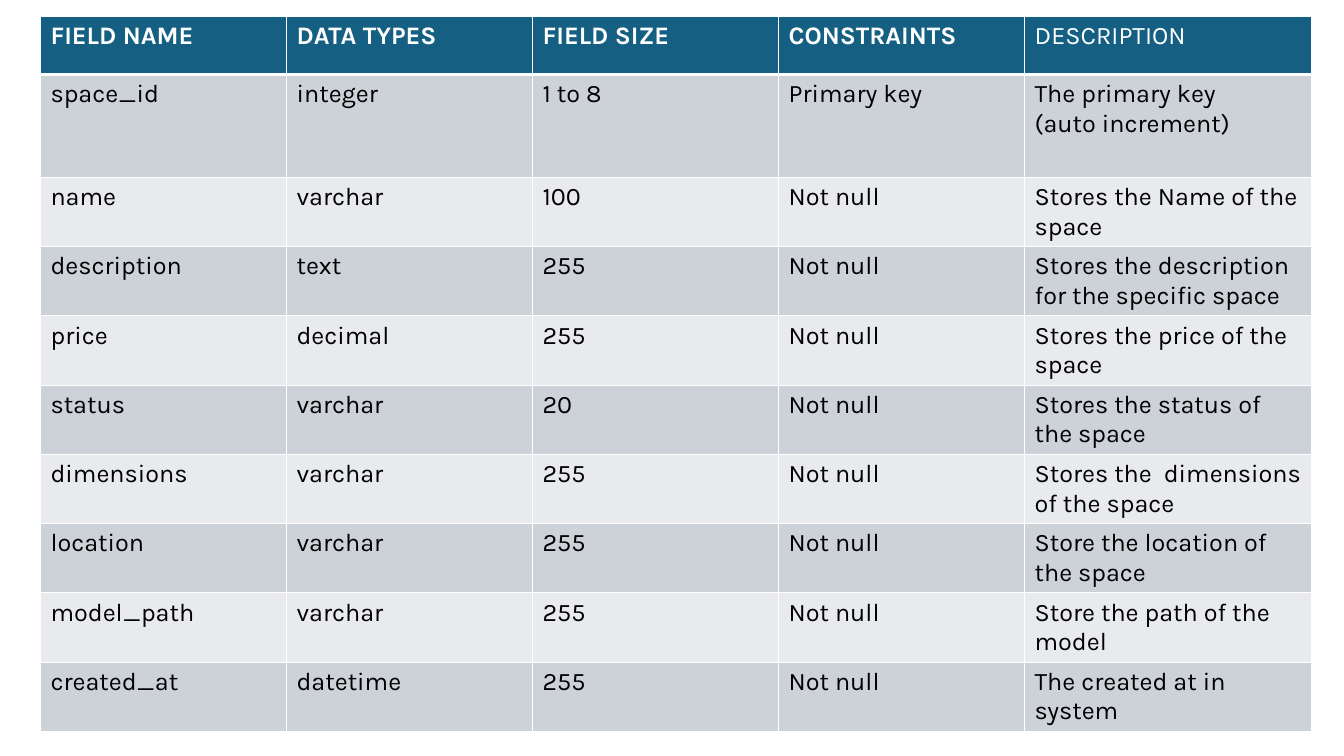
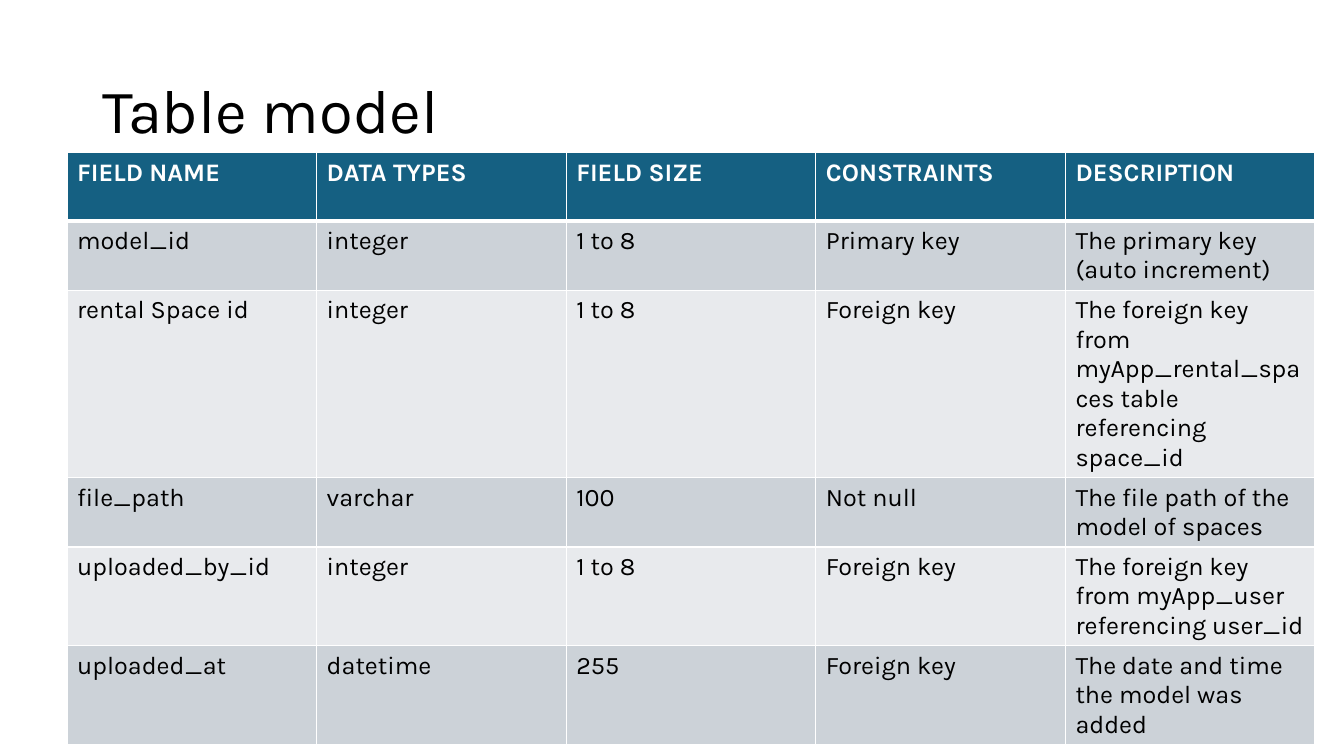
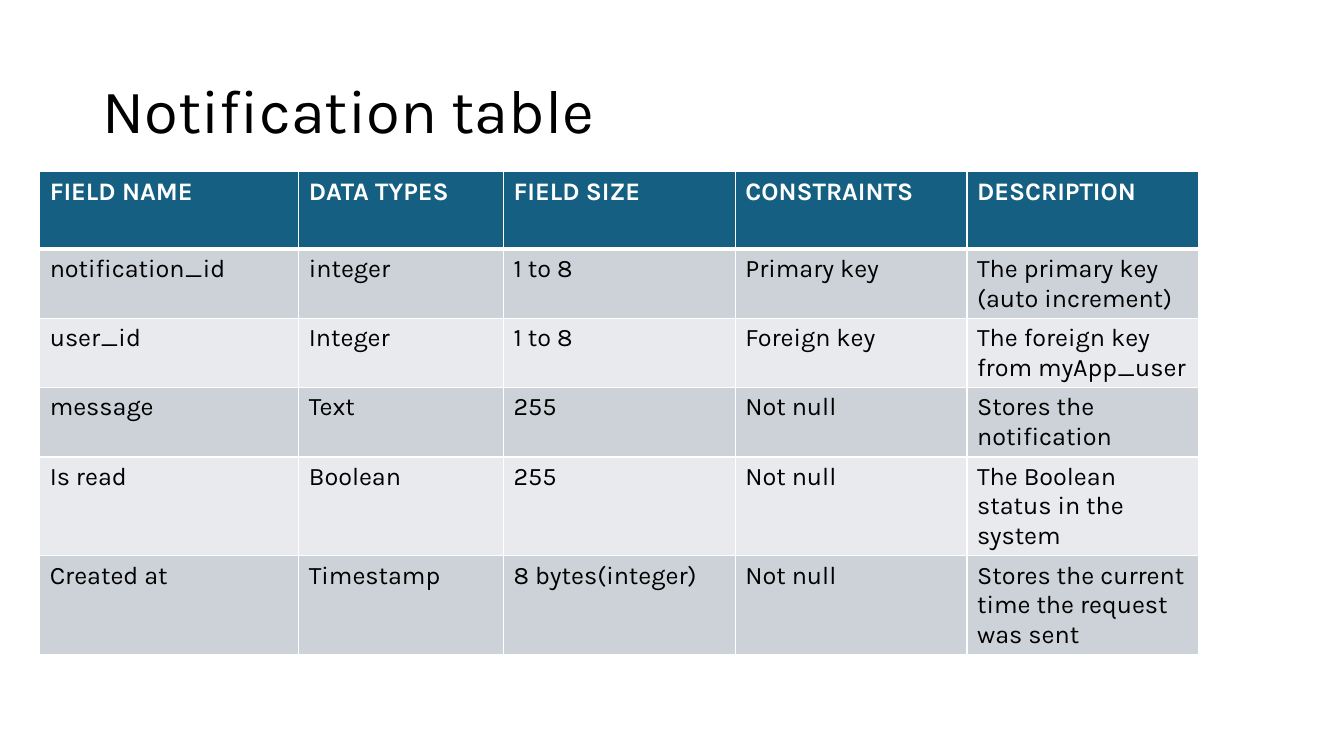
from dataclasses import dataclass
from typing import NamedTuple

from lxml import etree
from pptx import Presentation
from pptx.dml.color import RGBColor
from pptx.enum import text
from pptx.oxml import ns
from pptx.util import Cm, Pt

FONT = "Karla"
WHITE = RGBColor(0xFF, 0xFF, 0xFF)
BLACK = RGBColor(0x00, 0x00, 0x00)
HEADER_BLUE = RGBColor(0x15, 0x60, 0x82)
BAND_DARK = RGBColor(0xCC, 0xD2, 0xD8)
BAND_LIGHT = RGBColor(0xE8, 0xEA, 0xED)
THIN, THICK = Pt(1), Pt(3)
TITLE_ONLY, BLANK = 5, 6
BODY_ROW = 1.74


class Field(NamedTuple):
    name: str
    data_type: str
    size: str
    constraint: str
    description: str


HEADINGS = Field("FIELD NAME", "DATA TYPES", "FIELD SIZE", "CONSTRAINTS", "DESCRIPTION")


@dataclass(frozen=True)
class TableSlide:
    left: float
    top: float
    columns: tuple[float, ...]
    header_height: float
    fields: tuple[Field, ...]
    title: str = ""
    first_row_height: float = BODY_ROW
    regular_headings: tuple[str, ...] = ()


SLIDES = (
    TableSlide(
        left=1.02, top=0.41, columns=(6.2,) * 4 + (7.24,),
        header_height=1.47, first_row_height=2.59,
        regular_headings=("DESCRIPTION",),
        fields=(
            Field("space_id", "integer", "1 to 8", "Primary key", "The primary key\n(auto increment)"),
            Field("name", "varchar", "100", "Not null", "Stores the Name of the space"),
            Field("description", "text", "255", "Not null", "Stores the description for the specific space"),
            Field("price", "decimal", "255", "Not null", "Stores the price of the space"),
            Field("status", "varchar", "20", "Not null", "Stores the status of the space"),
            Field("dimensions", "varchar", "255", "Not null", "Stores the  dimensions of the space"),
            Field("location", "varchar", "255", "Not null", "Store the location of the space"),
            Field("model_path", "varchar", "255", "Not null", "Store the path of the model"),
            Field("created_at", "datetime", "255", "Not null", "The created at in system"),
        ),
    ),
    TableSlide(
        title="Table model",
        left=1.69, top=3.85, columns=(6.29,) * 5, header_height=1.72,
        fields=(
            Field("model_id", "integer", "1 to 8", "Primary key", "The primary key (auto increment)"),
            Field("rental Space id", "integer", "1 to 8", "Foreign key",
                  "The foreign key from myApp_rental_spaces table referencing space_id"),
            Field("file_path", "varchar", "100", "Not null", "The file path of the model of spaces"),
            Field("uploaded_by_id", "integer", "1 to 8", "Foreign key",
                  "The foreign key from myApp_user referencing user_id"),
            Field("uploaded_at", "datetime", "255", "Foreign key", "The date and time the model was added"),
        ),
    ),
    TableSlide(
        title="Notification table",
        left=1, top=4.33, columns=(6.53, 5.16) + (5.84,) * 3, header_height=1.95,
        fields=(
            Field("notification_id", "integer", "1 to 8", "Primary key", "The primary key (auto increment)"),
            Field("user_id", "Integer", "1 to 8", "Foreign key", "The foreign key from myApp_user"),
            Field("message", "Text", "255", "Not null", "Stores the notification"),
            Field("Is read", "Boolean", "255", "Not null", "The Boolean  status in the system"),
            Field("Created at", "Timestamp", "8 bytes(integer)", "Not null",
                  "Stores the current time the request was sent"),
        ),
    ),
)


def format_runs(text_frame, size: float, color: RGBColor, bold: bool = False) -> None:
    for paragraph in text_frame.paragraphs:
        for run in paragraph.runs:
            run.font.name = FONT
            run.font.size = Pt(size)
            run.font.bold = bold
            run.font.color.rgb = color


def set_borders(cell, top: int, bottom: int) -> None:
    properties = cell._tc.get_or_add_tcPr()
    for side, width in (("L", THIN), ("R", THIN), ("T", top), ("B", bottom)):
        line = etree.SubElement(properties, ns.qn(f"a:ln{side}"), w=str(width))
        fill = etree.SubElement(line, ns.qn("a:solidFill"))
        etree.SubElement(fill, ns.qn("a:srgbClr"), val=str(WHITE))


def fill_cell(cell, value: str, row: int, bold: bool) -> None:
    is_header = row == 0
    cell.text_frame.text = value
    format_runs(cell.text_frame, 18, WHITE if is_header else BLACK, bold)
    set_borders(cell, THICK if row == 1 else THIN, THICK if is_header else THIN)
    cell.fill.solid()
    band = BAND_DARK if row % 2 else BAND_LIGHT
    cell.fill.fore_color.rgb = HEADER_BLUE if is_header else band


def add_title(slide, title: str) -> None:
    shape = slide.shapes.title
    shape.left, shape.top, shape.width, shape.height = Cm(2.33), Cm(1.01), Cm(29.21), Cm(3.68)
    frame = shape.text_frame
    frame.text = title
    frame.auto_size = text.MSO_AUTO_SIZE.NONE
    frame.vertical_anchor = text.MSO_ANCHOR.MIDDLE
    frame.paragraphs[0].alignment = text.PP_ALIGN.LEFT
    frame.paragraphs[0].line_spacing = 0.9
    format_runs(frame, 44, BLACK)


def add_field_table(slide, content: TableSlide) -> None:
    rows = (HEADINGS, *content.fields)
    heights = [content.header_height, content.first_row_height]
    heights += [BODY_ROW] * (len(rows) - len(heights))
    table = slide.shapes.add_table(
        len(rows), len(content.columns), Cm(content.left), Cm(content.top),
        Cm(sum(content.columns)), Cm(sum(heights)),
    ).table
    table.horz_banding = False
    for column, width in zip(table.columns, content.columns):
        column.width = Cm(width)
    for index, (values, height) in enumerate(zip(rows, heights)):
        table.rows[index].height = Cm(height)
        for cell, value in zip(table.rows[index].cells, values):
            bold = index == 0 and value not in content.regular_headings
            fill_cell(cell, value, index, bold)


def main() -> None:
    presentation = Presentation()
    presentation.slide_width, presentation.slide_height = Cm(33.87), Cm(19.05)
    for content in SLIDES:
        layout = presentation.slide_layouts[TITLE_ONLY if content.title else BLANK]
        slide = presentation.slides.add_slide(layout)
        if content.title:
            add_title(slide, content.title)
        add_field_table(slide, content)
    presentation.save("out.pptx")


if __name__ == "__main__":
    main()
